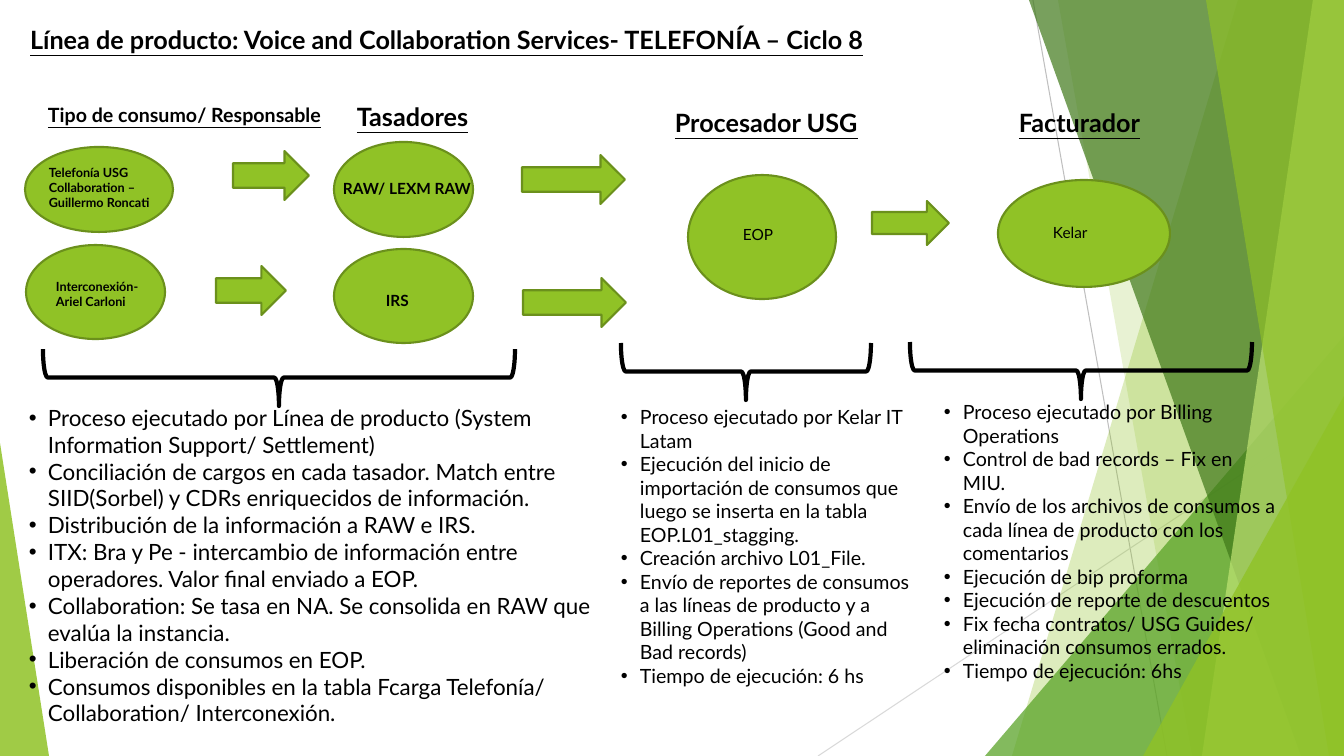
from pptx import Presentation
from pptx import util as u
from pptx.dml.color import RGBColor
from pptx.enum import shapes, text
from lxml import etree

PX = 914400 / 100.8
W, H = 1344, 756
FONT = "Lato"
BLACK = RGBColor(0x00, 0x00, 0x00)
GREEN = RGBColor(0x90, 0xC2, 0x26)
OUTLINE = RGBColor(0x6B, 0x90, 0x1C)
MID_GREEN = RGBColor(0x54, 0xA0, 0x21)
DARK_GREEN = RGBColor(0x3F, 0x78, 0x19)
PALE_GREEN = RGBColor(0xC0, 0xE4, 0x74)
GREY = RGBColor(0xBF, 0xBF, 0xBF)
LIGHT_GREY = RGBColor(0xD9, 0xD9, 0xD9)
A = "{http://schemas.openxmlformats.org/drawingml/2006/main}"
MSO = shapes.MSO_SHAPE
HEAD = {"bold": True, "underline": True}
BOLD = {"bold": True}


def emu(*lengths):
    """Turn pixel lengths into EMU."""
    return [u.Emu(round(n * PX)) for n in lengths]


def inside(box, x, y, *size):
    """Shift a place that is relative to a box onto the slide."""
    return (box[0] + x, box[1] + y, *size)


def write(sp, lines, size, fmt, bullets=False):
    """Fill a text shape with formatted, left-aligned paragraphs."""
    tf = sp.text_frame
    frame = {"word_wrap": True, "auto_size": text.MSO_AUTO_SIZE.NONE,
             "vertical_anchor": text.MSO_ANCHOR.TOP}
    for name, value in frame.items():
        setattr(tf, name, value)
    for i, line in enumerate(lines):
        p = tf.paragraphs[0] if i == 0 else tf.add_paragraph()
        p.alignment = text.PP_ALIGN.LEFT
        r = p.add_run()
        r.text = line
        r.font.color.rgb = BLACK
        for name, value in {"name": FONT, "size": u.Pt(size), **fmt}.items():
            setattr(r.font, name, value)
        if bullets:
            pPr = p._p.get_or_add_pPr()
            indent = emu(19)[0]
            pPr.set("marL", str(indent))
            pPr.set("indent", str(-indent))
            etree.SubElement(pPr, A + "buFont", typeface="Arial")
            etree.SubElement(pPr, A + "buChar", char="•")


def label(slide, place, lines, size, fmt, bullets=False):
    """Add a text box."""
    write(slide.shapes.add_textbox(*emu(*place)), lines, size, fmt, bullets)


def green_shape(slide, kind, place):
    """Add an outlined green shape."""
    sp = slide.shapes.add_shape(kind, *emu(*place))
    sp.shadow.inherit = False
    sp.fill.solid()
    sp.fill.fore_color.rgb = GREEN
    sp.line.color.rgb = OUTLINE
    sp.line.width = u.Pt(1.5)


def brace(slide, x, y, w, h=57):
    """Add a brace pointing down that covers the given box."""
    place = (x + (w - h) / 2, y + (h - w) / 2, h, w)
    sp = slide.shapes.add_shape(MSO.LEFT_BRACE, *emu(*place))
    sp.rotation = 270
    sp.shadow.inherit = False
    sp.fill.background()
    sp.line.color.rgb = BLACK
    sp.line.width = u.Pt(3)


def glaze(sp, color, opacity):
    """Give a shape a translucent fill and no outline."""
    sp.shadow.inherit = False
    sp.fill.solid()
    sp.fill.fore_color.rgb = color
    clr = sp._element.spPr.find(f"{A}solidFill/{A}srgbClr")
    etree.SubElement(clr, A + "alpha", val=str(opacity * 1000))
    sp.line.fill.background()


def backdrop(slide, box):
    """Draw the thin lines and translucent facets at the slide edges."""
    left, top, width, height = box
    right, bottom = left + width, top + height
    for ends, color in [((1033, 0, 1167, H), GREY), ((W, 406, 818, H), LIGHT_GREY)]:
        x1, y1, x2, y2 = ends
        line = slide.shapes.add_connector(
            shapes.MSO_CONNECTOR.STRAIGHT,
            *emu(left + x1, top + y1, left + x2, top + y2))
        line.line.color.rgb = color
        line.line.width = u.Pt(0.75)
        etree.SubElement(line._element.spPr, A + "effectLst")

    def facet(top_x, bottom_x, color, opacity):
        corners = [(left + top_x, top), (right, top), (right, bottom),
                   (left + bottom_x, bottom)]
        points = [tuple(emu(*c)) for c in corners]
        fb = slide.shapes.build_freeform(*points[0], scale=1.0)
        fb.add_line_segments(points[1:], close=True)
        glaze(fb.convert_to_shape(), color, opacity)

    def wedge(x, w, h, apex, color, opacity):
        place = (left + x, bottom - h, w, h)
        sp = slide.shapes.add_shape(MSO.ISOSCELES_TRIANGLE, *emu(*place))
        sp.adjustments[0] = apex
        glaze(sp, color, opacity)

    facet(1238, 1012, GREEN, 30)
    facet(1058, 1192, GREEN, 20)
    wedge(985, 359, 420, 1, MID_GREEN, 72)
    facet(1029, 1301, DARK_GREEN, 70)
    facet(1313, 1202, PALE_GREEN, 70)
    facet(1206, 1329, GREEN, 65)
    wedge(1143, 201, 360, 1, GREEN, 80)
    wedge(0, 49, 313, 0, GREEN, 85)


def heading(slide, box):
    """Move and format the slide title."""
    sp = slide.shapes.title
    for name, value in zip(("left", "top", "width", "height"), emu(*box)):
        setattr(sp, name, value)
    write(sp, ["Línea de producto: Voice and Collaboration Services- "
               "TELEFONÍA – Ciclo 8"], 18, HEAD)


def stage(slide, box, heads, nodes, arrows, span, notes_at, note_size, notes):
    """Draw one stage of the flow: headings, nodes, arrows, brace and notes."""
    for place, line, size in heads:
        label(slide, inside(box, *place), [line], size, HEAD)
    for oval, place, lines, size, fmt in nodes:
        green_shape(slide, MSO.OVAL, inside(box, *oval))
        label(slide, inside(box, *place), lines, size, fmt)
    for place in arrows:
        green_shape(slide, MSO.RIGHT_ARROW, inside(box, *place))
    brace(slide, *inside(box, *span))
    x, y = notes_at
    place = inside(box, x, y, box[2] - x, box[3] - y)
    label(slide, place, notes, note_size, {}, bullets=True)


RATING = dict(
    heads=[((19, 8, 421, 34), "Tipo de consumo/ Responsable", 14),
           ((328, 6, 207, 40), "Tasadores", 18)],
    nodes=[
        ((6, 57, 148, 85), (20, 70, 130, 56),
         ["Telefonía USG", "Collaboration –", "Guillermo Roncati"], 9, BOLD),
        ((7, 155, 139, 94), (27, 184, 123, 57),
         ["Interconexión- Ariel Carloni"], 9, BOLD),
        ((315, 52, 139, 95), (314, 84, 165, 29), ["RAW/ LEXM RAW"], 11, BOLD),
        ((315, 159, 139, 94), (357, 196, 80, 29), ["IRS"], 11, BOLD)],
    arrows=[(214, 61, 76, 49), (197, 176, 70, 49),
            (503, 65, 103, 49), (504, 188, 103, 49)],
    span=(24, 259, 472), notes_at=(0, 309), note_size=16,
    notes=[
        "Proceso ejecutado por Línea de producto (System Information Support/ Settlement)",
        "Conciliación de cargos en cada tasador. Match entre SIID(Sorbel) y CDRs "
        "enriquecidos de información.",
        "Distribución de la información a RAW e IRS.",
        "ITX: Bra y Pe - intercambio de información entre operadores. "
        "Valor final enviado a EOP.",
        "Collaboration: Se tasa en NA. Se consolida en RAW que evalúa la instancia.",
        "Liberación de consumos en EOP.",
        "Consumos disponibles en la tabla Fcarga Telefonía/ Collaboration/ Interconexión."])

PROCESSING = dict(
    heads=[((54, 12, 207, 40), "Procesador USG", 18)],
    nodes=[((77, 85, 148, 124), (122, 130, 72, 29), ["EOP"], 11, {})],
    arrows=[(261, 111, 77, 44)],
    span=(10, 253, 250), notes_at=(0, 310), note_size=14,
    notes=[
        "Proceso ejecutado por Kelar IT Latam",
        "Ejecución del inicio de importación de consumos que luego se inserta "
        "en la tabla EOP.L01_stagging.",
        "Creación archivo L01_File.",
        "Envío de reportes de consumos a las líneas de producto y a Billing "
        "Operations (Good and Bad records)",
        "Tiempo de ejecución: 6 hs"])

BILLING = dict(
    heads=[((99, 12, 197, 40), "Facturador", 18)],
    nodes=[((88, 90, 172, 107), (133, 128, 82, 29), ["Kelar"], 11, {})],
    arrows=[],
    span=(0, 252, 342), notes_at=(24, 305), note_size=14,
    notes=[
        "Proceso ejecutado por Billing Operations",
        "Control de bad records – Fix en MIU.",
        "Envío de los archivos de consumos a cada línea de producto con los comentarios",
        "Ejecución de bip proforma",
        "Ejecución de reporte de descuentos",
        "Fix fecha contratos/ USG Guides/ eliminación consumos errados.",
        "Tiempo de ejecución: 6hs"])

prs = Presentation()
prs.slide_width, prs.slide_height = emu(W, H)
slide = prs.slides.add_slide(prs.slide_layouts[5])
backdrop(slide, (0, 0, W, H))
heading(slide, (20, 19, 915, 40))
stage(slide, (19, 90, 593, 645), **RATING)
stage(slide, (611, 90, 323, 656), **PROCESSING)
stage(slide, (910, 90, 379, 634), **BILLING)
prs.save("out.pptx")
